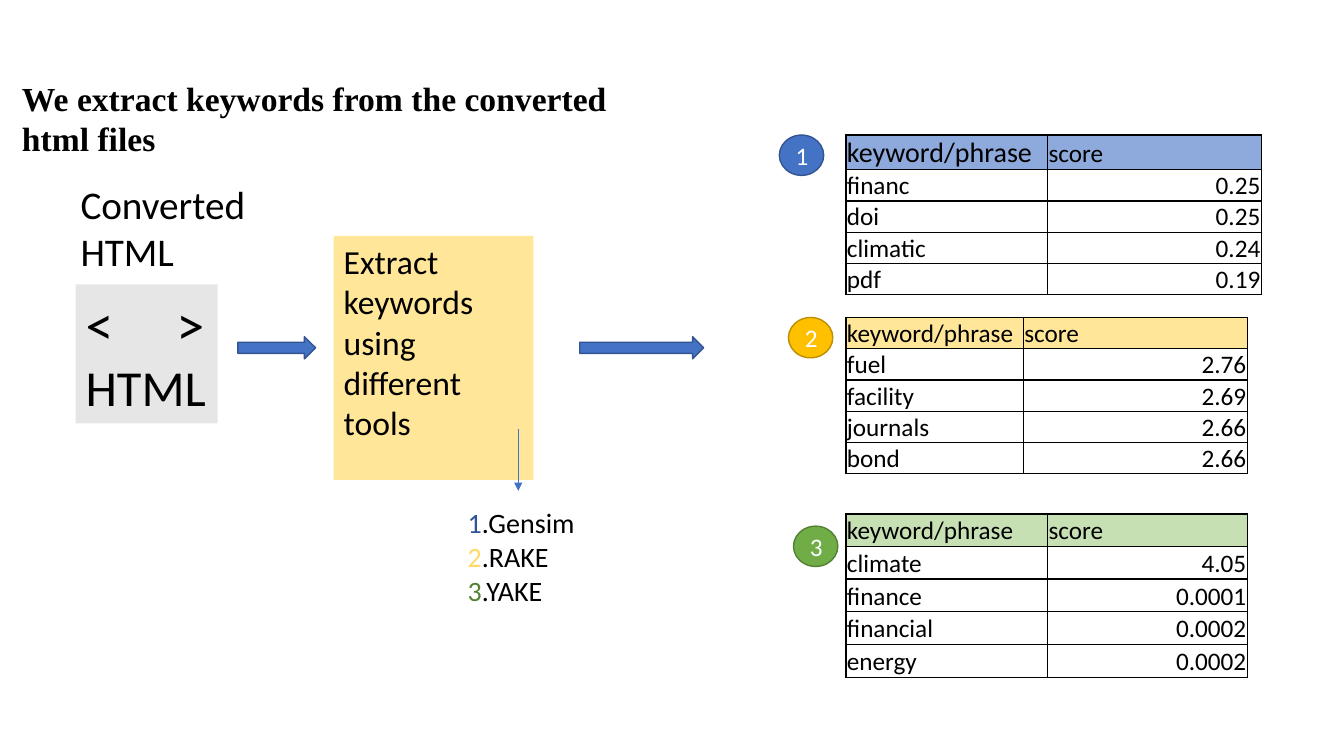
from lxml import etree
from pptx import Presentation
from pptx.dml.color import RGBColor
from pptx.enum.shapes import MSO_CONNECTOR, MSO_SHAPE
from pptx.enum.text import MSO_ANCHOR, PP_ALIGN
from pptx.oxml.ns import qn
from pptx.util import Inches, Pt

RECT, OVAL, ARROW = MSO_SHAPE.RECTANGLE, MSO_SHAPE.OVAL, MSO_SHAPE.RIGHT_ARROW
LEFT, CENTER, RIGHT = PP_ALIGN.LEFT, PP_ALIGN.CENTER, PP_ALIGN.RIGHT
TOP, MIDDLE, BOTTOM = MSO_ANCHOR.TOP, MSO_ANCHOR.MIDDLE, MSO_ANCHOR.BOTTOM

BLACK = RGBColor(0x00, 0x00, 0x00)
WHITE = RGBColor(0xFF, 0xFF, 0xFF)
GREY = RGBColor(0xE7, 0xE6, 0xE6)
BLUE = RGBColor(0x44, 0x72, 0xC4)
BLUE_EDGE = RGBColor(0x32, 0x54, 0x91)
BLUE_TEXT = RGBColor(0x2F, 0x55, 0x97)
BLUE_HEAD = RGBColor(0x8E, 0xA9, 0xDB)
GOLD = RGBColor(0xFF, 0xC0, 0x00)
GOLD_EDGE = RGBColor(0xBD, 0x8E, 0x00)
GOLD_TEXT = RGBColor(0xFF, 0xD9, 0x66)
GOLD_PALE = RGBColor(0xFF, 0xE6, 0x99)
GREEN = RGBColor(0x70, 0xAD, 0x47)
GREEN_EDGE = RGBColor(0x53, 0x80, 0x35)
GREEN_TEXT = RGBColor(0x54, 0x82, 0x35)
GREEN_HEAD = RGBColor(0xC6, 0xE0, 0xB4)

TITLE = "We extract keywords from the converted html files"
STEP = "Extract keywords using different tools"
HEADERS = ("keyword/phrase", "score")
ARROWS = [(2.36, 0.77), (5.75, 1.23)]
TABLE_LEFT = 8.39
TOOLS = [
    dict(name="Gensim", num_color=BLUE_TEXT, badge=(7.73, 1.34), fill=BLUE, edge=BLUE_EDGE,
         head=BLUE_HEAD, head_size=20, top=1.34, cols=(2, 2.12), heights=(0.34, 0.31),
         rows=[("financ", "0.25"), ("doi", "0.25"), ("climatic", "0.24"), ("pdf", "0.19")]),
    dict(name="RAKE", num_color=GOLD_TEXT, badge=(7.82, 3.15), fill=GOLD, edge=GOLD_EDGE,
         head=GOLD_PALE, head_size=18, top=3.15, cols=(1.76, 2.22), heights=(0.31, 0.31),
         rows=[("fuel", "2.76"), ("facility", "2.69"), ("journals", "2.66"), ("bond", "2.66")]),
    dict(name="YAKE", num_color=GREEN_TEXT, badge=(7.87, 5.22), fill=GREEN, edge=GREEN_EDGE,
         head=GREEN_HEAD, head_size=18, top=5.1, cols=(2, 1.98), heights=(0.32, 0.325),
         rows=[("climate", "4.05"), ("finance", "0.0001"), ("financial", "0.0002"),
               ("energy", "0.0002")]),
]


def put_text(tf, paragraphs, size=18, color=BLACK, font="Calibri", bold=False,
             align=LEFT, anchor=TOP):
    """Fill a frame; each paragraph is a list of (text, overrides) runs."""
    tf.word_wrap = True
    tf.vertical_anchor = anchor
    for i, runs in enumerate(paragraphs):
        p = tf.paragraphs[0] if i == 0 else tf.add_paragraph()
        p.alignment = align
        for text, own in runs:
            r = p.add_run()
            r.text = text
            r.font.name = font
            r.font.bold = bold
            r.font.size = Pt(own.get("size", size))
            r.font.color.rgb = own.get("color", color)


def add_shape(slide, kind, box, fill, edge=None):
    sp = slide.shapes.add_shape(kind, *map(Inches, box))
    sp.shadow.inherit = False
    sp.fill.solid()
    sp.fill.fore_color.rgb = fill
    if edge is None:
        sp.line.fill.background()
    else:
        sp.line.color.rgb = edge
        sp.line.width = Pt(1)
    return sp


def add_label(slide, box, text, **fmt):
    sp = slide.shapes.add_textbox(*map(Inches, box))
    put_text(sp.text_frame, [[(text, {})]], **fmt)


def add_tab_stop(p, position):
    tabs = etree.SubElement(p._p.get_or_add_pPr(), qn("a:tabLst"))
    etree.SubElement(tabs, qn("a:tab"), pos=str(Inches(position)), algn="l")


def set_borders(cell):
    props = cell._tc.get_or_add_tcPr()
    for i, side in enumerate(("lnL", "lnR", "lnT", "lnB")):
        ln = etree.Element(qn("a:" + side), w=str(Pt(1)))
        fill = etree.SubElement(ln, qn("a:solidFill"))
        etree.SubElement(fill, qn("a:srgbClr"), val=str(BLACK))
        props.insert(i, ln)


def add_score_table(slide, tool):
    rows = [HEADERS] + tool["rows"]
    head_height, row_height = tool["heights"]
    heights = [head_height] + [row_height] * len(tool["rows"])
    frame = slide.shapes.add_table(
        len(rows), len(HEADERS), Inches(TABLE_LEFT), Inches(tool["top"]),
        Inches(sum(tool["cols"])), Inches(sum(heights)))
    table = frame.table
    for col, width in zip(table.columns, tool["cols"]):
        col.width = Inches(width)
    for i, (values, height) in enumerate(zip(rows, heights)):
        table.rows[i].height = Inches(height)
        for j, value in enumerate(values):
            cell = table.cell(i, j)
            cell.margin_left = cell.margin_right = cell.margin_top = Inches(0.01)
            cell.margin_bottom = 0
            if i == 0:
                cell.fill.solid()
                cell.fill.fore_color.rgb = tool["head"]
            else:
                cell.fill.background()
            put_text(cell.text_frame, [[(value, {})]],
                     size=tool["head_size"] if i == j == 0 else 18,
                     align=RIGHT if i and j else LEFT)
            cell.vertical_anchor = BOTTOM
            set_borders(cell)


def add_down_arrow(slide, x, top, bottom):
    line = slide.shapes.add_connector(
        MSO_CONNECTOR.STRAIGHT, Inches(x), Inches(top), Inches(x), Inches(bottom))
    line.line.color.rgb = BLUE
    line.line.width = Pt(0.5)
    etree.SubElement(line.line._get_or_add_ln(), qn("a:tailEnd"), type="triangle")
    etree.SubElement(line._element.spPr, qn("a:effectLst"))


def main():
    prs = Presentation()
    prs.slide_width, prs.slide_height = Inches(13.33), Inches(7.5)
    slide = prs.slides.add_slide(prs.slide_layouts[6])

    html = add_shape(slide, RECT, (0.75, 2.82, 1.41, 1.38), GREY)
    put_text(html.text_frame, [[("<\t>", {"size": 40})], [("HTML", {})]], size=36)
    add_tab_stop(html.text_frame.paragraphs[0], 0.9)
    add_label(slide, (0.7, 1.74, 2.31, 1.04), "Converted HTML", size=28)

    step = add_shape(slide, RECT, (3.31, 2.34, 1.98, 2.42), GOLD_PALE)
    put_text(step.text_frame, [[(STEP, {})]], size=24)
    for left, width in ARROWS:
        add_shape(slide, ARROW, (left, 3.34, width, 0.22), BLUE, BLUE_EDGE)
    add_down_arrow(slide, 5.14, 4.26, 4.87)

    tool_list = add_shape(slide, RECT, (4.54, 4.97, 1.5, 1.11), WHITE)
    put_text(tool_list.text_frame,
             [[(str(n), {"color": tool["num_color"]}), ("." + tool["name"], {})]
              for n, tool in enumerate(TOOLS, 1)], size=20)
    add_label(slide, (0.12, 0.72, 6.14, 0.91), TITLE, size=24,
              font="Times New Roman", bold=True)

    for n, tool in enumerate(TOOLS, 1):
        add_score_table(slide, tool)
        badge = add_shape(slide, OVAL, (*tool["badge"], 0.44, 0.4), tool["fill"], tool["edge"])
        put_text(badge.text_frame, [[(str(n), {})]], color=WHITE, align=CENTER, anchor=MIDDLE)

    prs.save("out.pptx")


if __name__ == "__main__":
    main()
